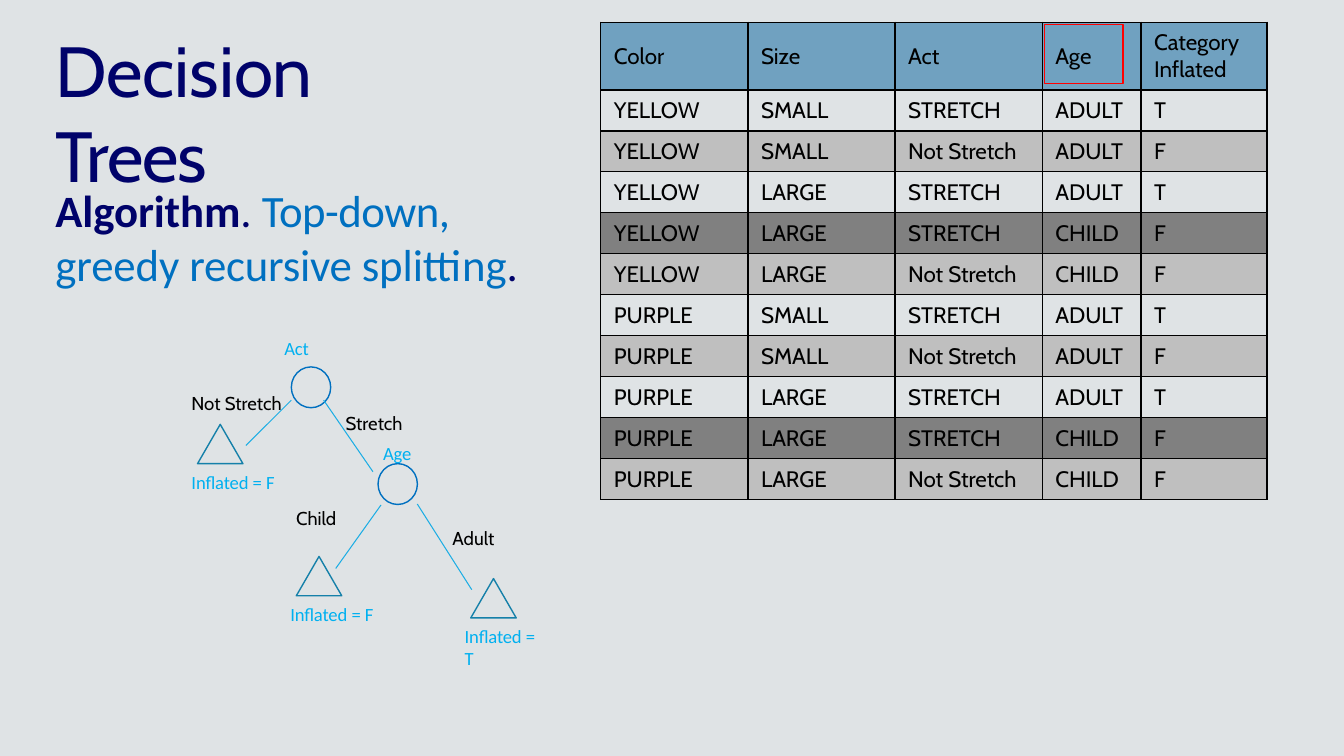
"""Build the decision tree slide with its table of training examples."""
from typing import NamedTuple

from lxml import etree
from pptx import Presentation
from pptx.dml.color import RGBColor
from pptx.enum.shapes import MSO_CONNECTOR, MSO_SHAPE
from pptx.enum.text import MSO_ANCHOR, MSO_AUTO_SIZE
from pptx.oxml import parse_xml
from pptx.oxml.ns import nsdecls, qn
from pptx.util import Emu, Inches, Pt

SLIDE_WIDTH, SLIDE_HEIGHT = Inches(13.33), Inches(7.5)
OVAL, TRIANGLE, RECTANGLE = MSO_SHAPE.OVAL, MSO_SHAPE.ISOSCELES_TRIANGLE, MSO_SHAPE.RECTANGLE
STRAIGHT = MSO_CONNECTOR.STRAIGHT
MIDDLE = MSO_ANCHOR.MIDDLE
GROW = MSO_AUTO_SIZE.SHAPE_TO_FIT_TEXT

BACKGROUND = RGBColor(0xDF, 0xE3, 0xE5)
NAVY = RGBColor(0x00, 0x02, 0x6A)
BLUE = RGBColor(0x00, 0x70, 0xC0)
SKY = RGBColor(0x00, 0xB0, 0xF0)
BRANCH_BLUE = RGBColor(0x1C, 0xAD, 0xE4)
LEAF_BLUE = RGBColor(0x15, 0x80, 0xA9)
BLACK = RGBColor(0x00, 0x00, 0x00)
RED = RGBColor(0xFF, 0x00, 0x00)
HEADER_FILL = RGBColor(0x70, 0xA1, 0xC0)
LIGHT_GREY = RGBColor(0xBF, 0xBF, 0xBF)
DARK_GREY = RGBColor(0x80, 0x80, 0x80)

HEADER = ("Color", "Size", "Act", "Age", "Category\nInflated")
EXAMPLES = (
    ("SMALL", "STRETCH", "ADULT", "T"),
    ("SMALL", "Not Stretch", "ADULT", "F"),
    ("LARGE", "STRETCH", "ADULT", "T"),
    ("LARGE", "STRETCH", "CHILD", "F"),
    ("LARGE", "Not Stretch", "CHILD", "F"),
)
COLUMN_SHARES = (10.95, 10.95, 10.95, 7.35, 9.38)
HEADER_SHARE, ROW_SHARE = 8.93, 5.33


class Box(NamedTuple):
    """Left, top, width and height in percent of the slide."""
    left: float
    top: float
    width: float
    height: float


class Piece(NamedTuple):
    """One run of text, with letter spacing in points."""
    text: str
    color: RGBColor
    spacing: float = 0
    bold: bool = False


class Outline(NamedTuple):
    """An unfilled shape with a one-point line."""
    kind: int
    box: Box
    color: RGBColor


class Label(NamedTuple):
    """A text box; tight ones have no side insets and a small indent."""
    box: Box
    pieces: tuple[Piece, ...]
    size: float = 13.3
    font: str = "Calibri"
    tight: bool = True


class Branch(NamedTuple):
    """A line of the tree with the caption of its test result."""
    start: tuple[float, float]
    end: tuple[float, float]
    caption: str
    caption_at: tuple[float, float]


class Leaf(NamedTuple):
    """A leaf of the tree with its predicted value."""
    left: float
    top: float
    value: str
    spacing: float


class Node(NamedTuple):
    """A test of the tree with the place of its caption."""
    left: float
    top: float
    caption: str
    caption_at: tuple[float, float]


TITLE = Label(Box(3.98, 3.2, 31.43, 11.6),
              (Piece("Decision ", NAVY, -0.1), Piece("Trees", NAVY, -0.7)), 50.7, "Cabin")
ALGORITHM = Label(Box(3.98, 23.87, 37.58, 14.67), (
    Piece("Algorithm", NAVY, -0.1, True), Piece(". ", NAVY, -0.1),
    Piece("Top-down, ", BLUE, -0.4), Piece("greedy ", BLUE, -0.1),
    Piece("recursive ", BLUE, -0.2), Piece("splitting", BLUE, -0.1), Piece(".", NAVY, -0.1)), 32)
NODES = (Node(21.68, 48.53, "Act", (21, 44.27)), Node(28.13, 61.33, "Age", (28.35, 58.13)))
BRANCHES = (
    Branch((21.68, 52.93), (18.3, 58.93), "Not Stretch", (13.5, 51.2)),
    Branch((24.08, 52.93), (27.75, 62.4), "Stretch", (24.98, 53.87)),
    Branch((28.35, 66.8), (24.98, 75.2), "Child", (21.3, 66.4)),
    Branch((31.05, 66.67), (35.1, 78), "Adult", (32.93, 69.07)),
)
LEAVES = (Leaf(14.7, 56.13, "F", -0.1), Leaf(22.05, 73.6, "F", -0.1), Leaf(35.03, 76.53, "T", -0.9))
AGE_HIGHLIGHT = Outline(RECTANGLE, Box(77.7, 3.2, 5.85, 7.87), RED)


def across(share: float) -> Emu:
    return Emu(round(SLIDE_WIDTH * share / 100))


def down(share: float) -> Emu:
    return Emu(round(SLIDE_HEIGHT * share / 100))


def place(box: Box) -> tuple[Emu, Emu, Emu, Emu]:
    return across(box.left), down(box.top), across(box.width), down(box.height)


def draw_label(slide, label: Label) -> None:
    text_frame = slide.shapes.add_textbox(*place(label.box)).text_frame
    text_frame.word_wrap = True
    text_frame.auto_size = GROW
    paragraph = text_frame.paragraphs[0]
    if label.tight:
        text_frame.margin_left = text_frame.margin_right = text_frame.margin_bottom = 0
        text_frame.margin_top = Inches(0.02)
        paragraph.space_before = Pt(1.3)
        paragraph._p.get_or_add_pPr().set("marL", str(Inches(0.02)))
    for piece in label.pieces:
        run = paragraph.add_run()
        run.text = piece.text
        run.font.name, run.font.size, run.font.bold = label.font, Pt(label.size), piece.bold
        run.font.color.rgb = piece.color
        run._r.get_or_add_rPr().set("spc", str(round(piece.spacing * 100)))


def draw_outline(slide, outline: Outline) -> None:
    shape = slide.shapes.add_shape(outline.kind, *place(outline.box))
    shape.shadow.inherit = False
    shape.fill.background()
    shape.line.color.rgb, shape.line.width = outline.color, Pt(1)


def draw_branch(slide, branch: Branch) -> None:
    (left, top), (right, bottom) = branch.start, branch.end
    connector = slide.shapes.add_connector(
        STRAIGHT, across(left), down(top), across(right), down(bottom))
    connector.line.color.rgb, connector.line.width = BRANCH_BLUE, Pt(0.75)
    etree.SubElement(connector._element.spPr, qn("a:effectLst"))
    draw_label(slide, Label(Box(*branch.caption_at, 8.63, 4.4),
                            (Piece(branch.caption, BLACK),), font="Cabin", tight=False))


def draw_node(slide, node: Node) -> None:
    draw_outline(slide, Outline(OVAL, Box(node.left, node.top, 2.93, 5.4), BLUE))
    draw_label(slide, Label(Box(*node.caption_at, 6.83, 3.2), (Piece(node.caption, SKY, -0.1),)))


def draw_leaf(slide, leaf: Leaf) -> None:
    draw_outline(slide, Outline(TRIANGLE, Box(leaf.left, leaf.top, 3.38, 5.2), LEAF_BLUE))
    pieces = Piece("Inflated ", SKY, -0.1), Piece("= ", SKY), Piece(leaf.value, SKY, leaf.spacing)
    draw_label(slide, Label(Box(leaf.left - 0.6, leaf.top + 5.87, 6.38, 3.2), pieces))


def row_fill(row: tuple[str, ...]) -> RGBColor | None:
    if row == HEADER:
        return HEADER_FILL
    if "Not Stretch" in row:
        return LIGHT_GREY
    return DARK_GREY if "CHILD" in row else None


def format_cell(cell, text: str, fill: RGBColor | None) -> None:
    cell.text_frame.text = text
    cell.vertical_anchor = MIDDLE
    cell.margin_left = cell.margin_right = across(0.98)
    cell.margin_top = cell.margin_bottom = down(0.93)
    for paragraph in cell.text_frame.paragraphs:
        font = paragraph.runs[0].font
        font.name, font.size, font.bold, font.color.rgb = "Cabin", Pt(16), False, BLACK
    if fill is None:
        cell.fill.background()
    else:
        cell.fill.solid()
        cell.fill.fore_color.rgb = fill
    for index, side in enumerate("LRTB"):
        cell._tc.get_or_add_tcPr().insert(index, parse_xml(
            f'<a:ln{side} {nsdecls("a")} w="{Pt(1)}"><a:solidFill>'
            f'<a:srgbClr val="{BLACK}"/></a:solidFill></a:ln{side}>'))


def draw_examples(slide) -> None:
    rows = [HEADER] + [(color, *example) for color in ("YELLOW", "PURPLE") for example in EXAMPLES]
    row_shares = [HEADER_SHARE] + [ROW_SHARE] * (len(rows) - 1)
    box = Box(44.7, 2.93, sum(COLUMN_SHARES), sum(row_shares))
    table = slide.shapes.add_table(len(rows), len(HEADER), *place(box)).table
    table.first_row = table.horz_banding = False
    for column, share in zip(table.columns, COLUMN_SHARES):
        column.width = across(share)
    for table_row, share, values in zip(table.rows, row_shares, rows):
        table_row.height = down(share)
        for cell, text in zip(table_row.cells, values):
            format_cell(cell, text, row_fill(values))


def main() -> None:
    presentation = Presentation()
    presentation.slide_width, presentation.slide_height = SLIDE_WIDTH, SLIDE_HEIGHT
    slide = presentation.slides.add_slide(presentation.slide_layouts[6])
    slide.background.fill.solid()
    slide.background.fill.fore_color.rgb = BACKGROUND
    draw_label(slide, ALGORITHM)
    draw_label(slide, TITLE)
    draw_examples(slide)
    draw_outline(slide, AGE_HIGHLIGHT)
    for draw, parts in ((draw_node, NODES), (draw_branch, BRANCHES), (draw_leaf, LEAVES)):
        for part in parts:
            draw(slide, part)
    presentation.save("out.pptx")


if __name__ == "__main__":
    main()
